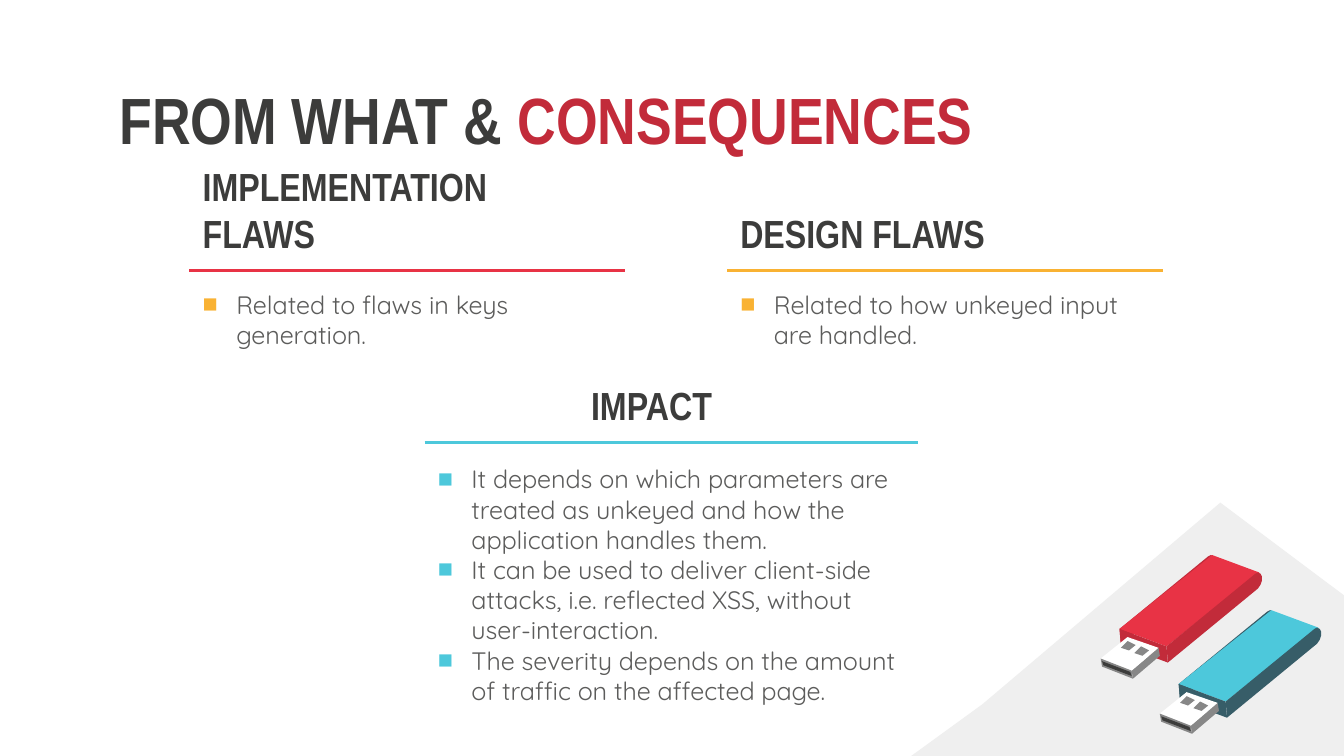
from pptx import Presentation
from pptx.dml.color import RGBColor
from pptx.enum.shapes import MSO_CONNECTOR
from pptx.enum.text import MSO_ANCHOR
from pptx.oxml.ns import qn
from pptx.util import Inches, Pt
from lxml import etree

STRAIGHT = MSO_CONNECTOR.STRAIGHT
TOP, BOTTOM = MSO_ANCHOR.TOP, MSO_ANCHOR.BOTTOM

INK = RGBColor(0x3C, 0x3C, 0x3B)
BODY = RGBColor(0x5C, 0x5C, 0x5B)
GRAY = RGBColor(0x87, 0x87, 0x87)
WHITE = RGBColor(0xFF, 0xFF, 0xFF)
RED = RGBColor(0xE8, 0x33, 0x45)
DARK_RED = RGBColor(0xC2, 0x2B, 0x3A)
YELLOW = RGBColor(0xF9, 0xB2, 0x33)
TEAL = RGBColor(0x4D, 0xC8, 0xDB)
DARK_TEAL = RGBColor(0x37, 0x5D, 0x68)

HEADING_FONT = "Arial Narrow"
BODY_FONT = "Quicksand"
BULLET_FONT = "Arial"

SLIDE_WIDTH = 10
SLIDE_HEIGHT = SLIDE_WIDTH * 9 / 16

CORNER = [(6.78, SLIDE_HEIGHT), (7.31, 5.24), (9.08, 3.74),
          (SLIDE_WIDTH, 4.43), (SLIDE_WIDTH, SLIDE_HEIGHT)]

STICK_SIDE = [(0.82, 0), (0.8, 0.01), (0.14, 0.55), (0.15, 0.67), (0.82, 0.12),
              (0.84, 0.09), (0.85, 0.06), (0.85, 0.03), (0.84, 0.01)]
STICK_TOP = [(0.83, 0), (0.14, 0.55), (0.49, 0.68), (1.18, 0.13)]
STICK_FRONT = [(0.14, 0.55), (0.15, 0.67), (0.5, 0.8), (0.49, 0.68)]
PLUG_SIDE = [(0.43, 0.69), (0.23, 0.86), (0.24, 0.92), (0.44, 0.75)]
PLUG_TOP = [(0.2, 0.61), (0, 0.77), (0.23, 0.86), (0.43, 0.69)]
PLUG_HOLE = [(0.2, 0.64), (0.15, 0.69), (0.21, 0.71), (0.26, 0.67)]
PLUG_FRONT = [(0, 0.77), (0.01, 0.83), (0.24, 0.92), (0.23, 0.86)]
PLUG_SLOT = [(0.01, 0.79), (0.02, 0.82), (0.23, 0.9), (0.22, 0.87)]


def add_bullet(paragraph, color):
    properties = paragraph._p.get_or_add_pPr()
    properties.set("marL", str(Inches(0.25)))
    properties.set("indent", str(-Inches(0.25)))
    bullet_color = etree.SubElement(properties, qn("a:buClr"))
    etree.SubElement(bullet_color, qn("a:srgbClr"), val=str(color))
    etree.SubElement(properties, qn("a:buFont"), typeface=BULLET_FONT)
    etree.SubElement(properties, qn("a:buChar"), char="■")


def add_text(slide, box, paragraphs, size=13.5, font=BODY_FONT, color=BODY,
             bold=False, anchor=TOP, bullet=None):
    shape = slide.shapes.add_textbox(*map(Inches, box))
    frame = shape.text_frame
    frame.word_wrap = True
    frame.vertical_anchor = anchor
    frame.margin_left = frame.margin_right = Inches(0.1)
    frame.margin_top = frame.margin_bottom = Inches(0.1)
    for index, runs in enumerate(paragraphs):
        paragraph = frame.add_paragraph() if index else frame.paragraphs[0]
        if bullet is not None:
            add_bullet(paragraph, bullet)
        for text, run_color in runs:
            run = paragraph.add_run()
            run.text = text
            run.font.size = Pt(size)
            run.font.name = font
            run.font.bold = bold
            run.font.color.rgb = run_color or color


def add_heading(slide, box, text, anchor=TOP):
    add_text(slide, box, [[(text, None)]], size=21, font=HEADING_FONT,
             color=INK, bold=True, anchor=anchor)


def add_bullets(slide, box, texts, color):
    add_text(slide, box, [[(text, None)] for text in texts], bullet=color)


def add_rule(slide, left, top, width, color):
    rule = slide.shapes.add_connector(
        STRAIGHT, Inches(left), Inches(top), Inches(left + width), Inches(top))
    rule.line.color.rgb = color
    rule.line.width = Pt(1.5)
    etree.SubElement(rule._element.spPr, qn("a:effectLst"))


def add_polygon(slide, points, color, left=0, top=0):
    placed = [(Inches(left + x), Inches(top + y)) for x, y in points]
    builder = slide.shapes.build_freeform(*placed[0])
    builder.add_line_segments(placed[1:], close=True)
    shape = builder.convert_to_shape()
    shape.shadow.inherit = False
    shape.fill.solid()
    shape.fill.fore_color.rgb = color
    shape.line.fill.background()
    return shape


def add_corner(slide):
    shape = add_polygon(slide, CORNER, GRAY)
    fill_color = shape._element.spPr.find(qn("a:solidFill")).find(qn("a:srgbClr"))
    etree.SubElement(fill_color, qn("a:alpha"), val="13000")


def add_usb_stick(slide, left, top, color, dark):
    parts = [
        (STICK_SIDE, dark, 0, 0),
        (STICK_TOP, color, 0, 0),
        (STICK_SIDE, dark, 0.35, 0.13),
        (STICK_FRONT, dark, 0, 0),
        (PLUG_SIDE, GRAY, 0, 0),
        (PLUG_TOP, WHITE, 0, 0),
        (PLUG_HOLE, GRAY, 0, 0),
        (PLUG_HOLE, GRAY, 0.1, 0.04),
        (PLUG_FRONT, GRAY, 0, 0),
        (PLUG_SLOT, INK, 0, 0),
    ]
    for points, part_color, dx, dy in parts:
        add_polygon(slide, points, part_color, left + dx, top + dy)


def add_title(slide, box):
    runs = [("FROM WHAT & ", None), ("CONSEQUENCES", DARK_RED)]
    add_text(slide, box, [runs], size=35, font=HEADING_FONT, color=INK, bold=True)


def add_flaw_column(slide, left, top, heading, text, color):
    add_heading(slide, (left, top, 3.18, 0.57), heading, anchor=BOTTOM)
    add_rule(slide, left, top + 0.57, 3.24, color)
    add_bullets(slide, (left, top + 0.61, 3.18, 0.75), [text], YELLOW)


def add_impact(slide, left, top, width):
    add_heading(slide, (left + 1.14, top, 1.4, 0.56), "IMPACT")
    add_rule(slide, left, top + 0.55, width, TEAL)
    add_bullets(slide, (left, top + 0.61, width, 2.03), [
        "It depends on which parameters are treated as unkeyed and how the "
        "application handles them.",
        "It can be used to deliver client-side attacks, i.e. reflected XSS, "
        "without user-interaction.",
        "The severity depends on the amount of traffic on the affected page.",
    ], TEAL)


def main():
    presentation = Presentation()
    presentation.slide_width = Inches(SLIDE_WIDTH)
    presentation.slide_height = Inches(SLIDE_HEIGHT)
    slide = presentation.slides.add_slide(presentation.slide_layouts[6])

    add_corner(slide)
    add_title(slide, (0.79, 0.49, 8.43, 0.63))
    add_flaw_column(slide, 1.41, 1.44, "IMPLEMENTATION FLAWS",
                    "Related to flaws in keys generation.", RED)
    add_flaw_column(slide, 5.41, 1.44, "DESIGN FLAWS",
                    "Related to how unkeyed input are handled.", YELLOW)
    add_usb_stick(slide, 8.63, 4.54, TEAL, DARK_TEAL)
    add_usb_stick(slide, 8.19, 4.13, RED, DARK_RED)
    add_impact(slide, 3.16, 2.74, 3.67)
    presentation.save("out.pptx")


if __name__ == "__main__":
    main()
